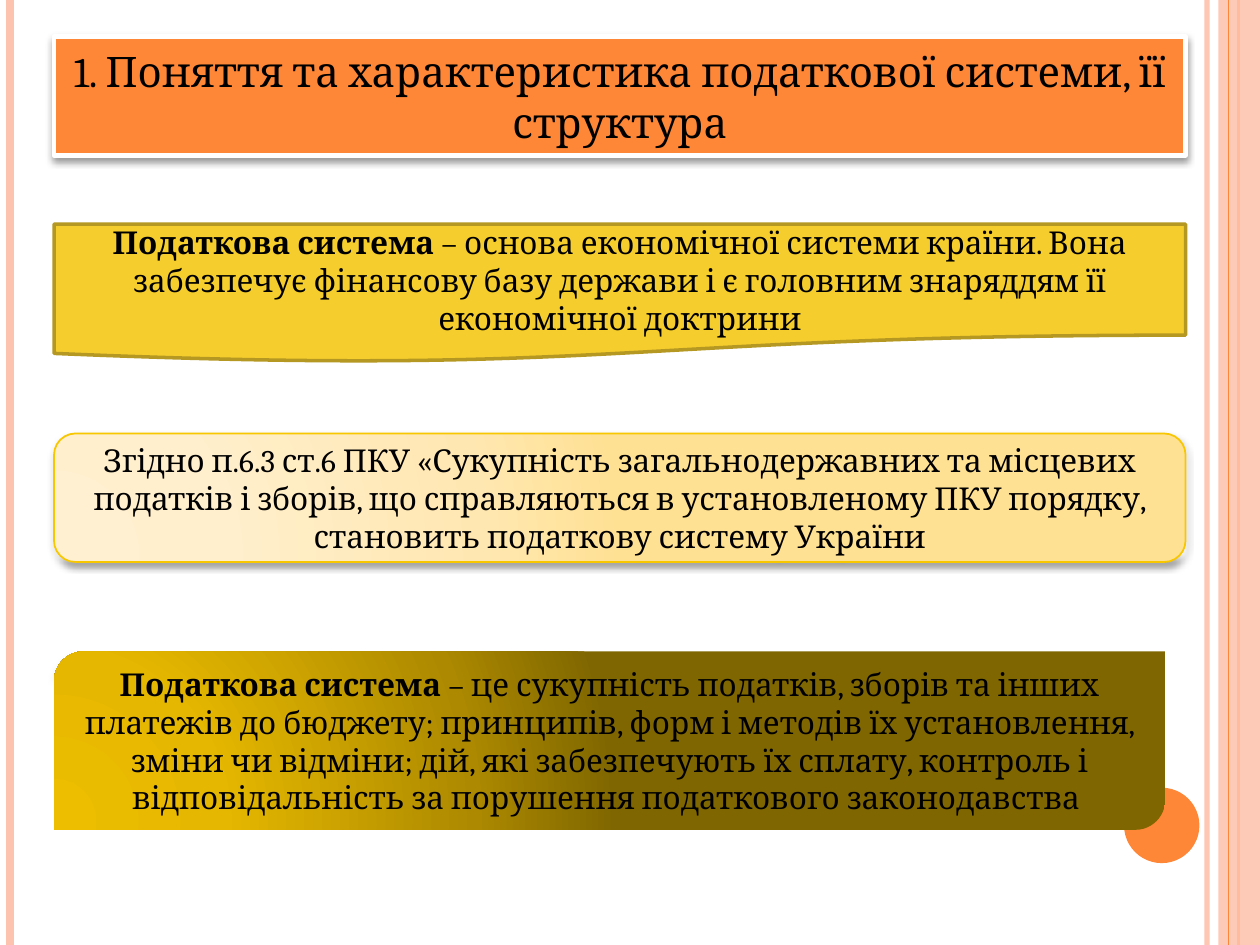
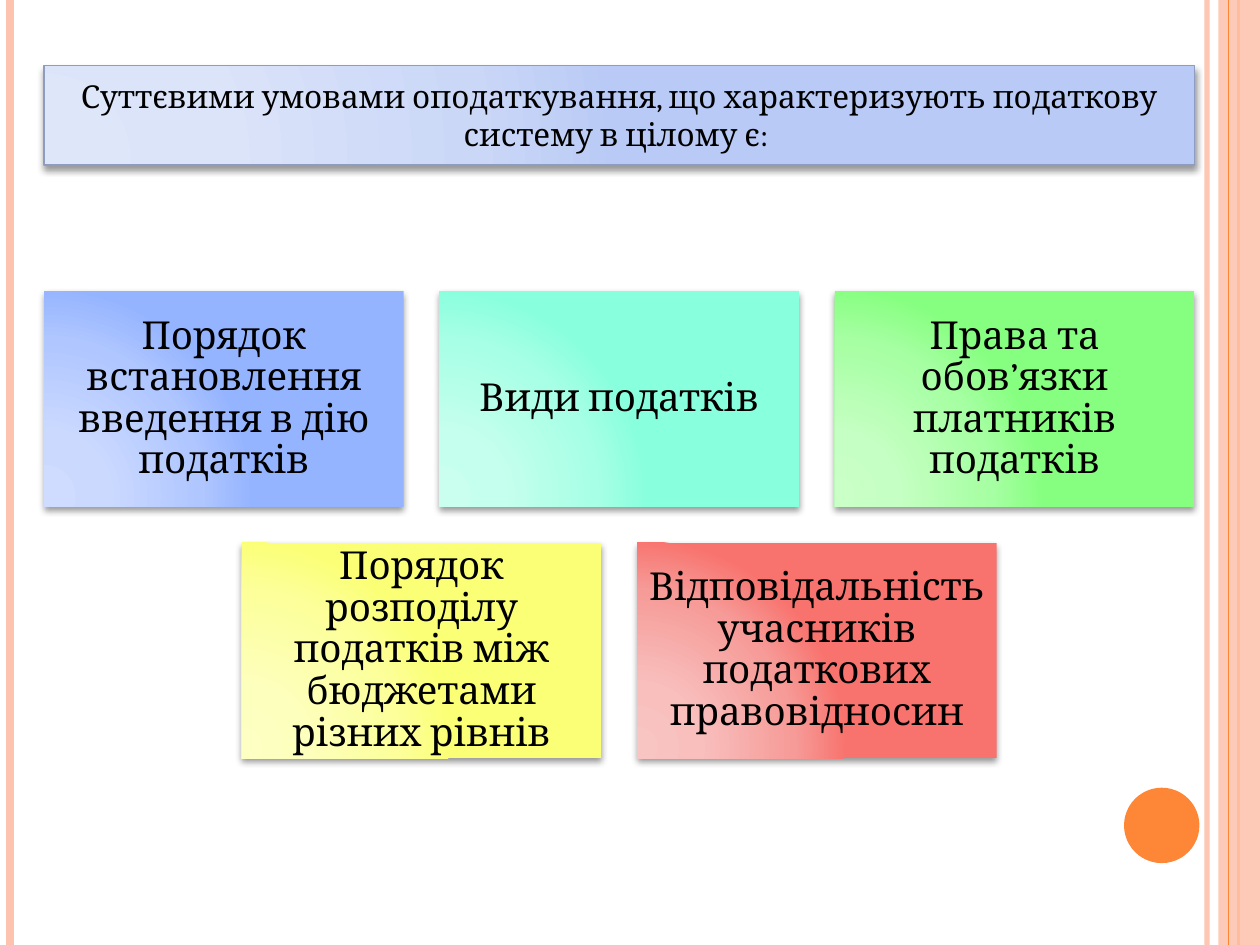
from lxml import etree
from pptx import Presentation
from pptx.dml.color import RGBColor
from pptx.enum.shapes import MSO_CONNECTOR, MSO_SHAPE
from pptx.enum.text import MSO_ANCHOR, MSO_AUTO_SIZE, PP_ALIGN
from pptx.oxml.ns import qn
from pptx.util import Cm, Pt

STRAIGHT = MSO_CONNECTOR.STRAIGHT
RECT = MSO_SHAPE.RECTANGLE
OVAL = MSO_SHAPE.OVAL
ROUNDED = MSO_SHAPE.ROUNDED_RECTANGLE
DOCUMENT = MSO_SHAPE.FLOWCHART_DOCUMENT
DIAGONAL = MSO_SHAPE.ROUND_2_DIAG_RECTANGLE
MIDDLE = MSO_ANCHOR.MIDDLE
CENTER = PP_ALIGN.CENTER
NO_AUTOFIT = MSO_AUTO_SIZE.NONE

SLIDE_W, SLIDE_H = 25.4, 19.05
FONT = "Cambria"
TITLE_ONLY = 5
COLORS = {
    "text": "000000",
    "white": "FFFFFF",
    "orange": "FE8637",
    "peach": "FEC3AE",
    "yellow": "F5CD2D",
    "olive": "B59821",
    "amber": "F8C700",
    "steel": "8D9CBF",
}
GRADIENT_STOPS = (0, 30, 75, 100)
GRADIENTS = {
    "cream": ("FFF0D1", "FFEFCC", "FFE7B1", "FFE193"),
    "gold": ("EDBE00", "E5B700", "AC8900", "7F6600"),
    "pale blue": ("DEE6FA", "DBE4F9", "CAD7F7", "B8CAF5"),
    "blue": ("CFDCFF", "CBD9FF", "AFC6FF", "95B4FF"),
    "mint": ("CAFFEF", "C5FFED", "A7FFE5", "88FFDD"),
    "green": ("CAFFC8", "C5FFC3", "A6FFA2", "86FF80"),
    "lemon": ("FDFFC3", "FDFFBD", "FCFF9A", "FBFF75"),
    "red": ("F8C5C3", "F8BFBD", "F69B98", "F8736E"),
}

# Content column of each slide, in cm
CONCEPT_LEFT, CONCEPT_W = 1.09, 22.81
CONDITIONS_LEFT, CONDITIONS_W = 0.89, 23.19
CARD_GAP, CARD_H, CARDS_TOP = 0.72, 4.35, 5.87
CARD_W = (CONDITIONS_W - 2 * CARD_GAP) / 3
CARD_ROWS = (
    (
        ("Порядок встановлення введення в дію податків", "blue"),
        ("Види податків", "mint"),
        ("Права та обов’язки платників податків", "green"),
    ),
    (
        ("Порядок розподілу податків між бюджетами різних рівнів", "lemon"),
        ("Відповідальність учасників податкових правовідносин", "red"),
    ),
)


def rgb(name):
    """Return the named colour."""
    return RGBColor.from_string(COLORS[name])


def set_opacity(properties, percent):
    """Make the first plain colour inside the properties translucent."""
    color = next(properties.iter(qn("a:srgbClr")))
    etree.SubElement(color, qn("a:alpha"), val=str(percent * 1000))


def fill_gradient(shape, name):
    """Fill a shape with a circular gradient spreading from its lower left."""
    shape.fill.gradient()
    properties = shape.element.spPr
    old = properties.find(qn("a:gradFill"))
    gradient = etree.Element(qn("a:gradFill"), rotWithShape="1")
    stops = etree.SubElement(gradient, qn("a:gsLst"))
    for position, color in zip(GRADIENT_STOPS, GRADIENTS[name]):
        stop = etree.SubElement(stops, qn("a:gs"), pos=str(position * 1000))
        etree.SubElement(stop, qn("a:srgbClr"), val=color)
    circle = etree.SubElement(gradient, qn("a:path"), path="circle")
    etree.SubElement(circle, qn("a:fillToRect"),
                     l="5000", t="100000", r="120000", b="10000")
    properties.replace(old, gradient)


def add_shadow(shape):
    """Give a shape a soft shadow falling straight down."""
    effects = shape.element.spPr.find(qn("a:effectLst"))
    shadow = etree.SubElement(
        effects, qn("a:outerShdw"), blurRad=str(Pt(4)), dist=str(Pt(2)),
        dir="5400000", algn="ctr", rotWithShape="0")
    color = etree.SubElement(shadow, qn("a:srgbClr"), val="000000")
    etree.SubElement(color, qn("a:alpha"), val="40000")


def style_shape(shape, fill, line=None, width=1, shadow=False):
    """Set fill (plain or gradient), outline and shadow of a shape."""
    if fill in GRADIENTS:
        fill_gradient(shape, fill)
    else:
        shape.fill.solid()
        shape.fill.fore_color.rgb = rgb(fill)
    if line:
        shape.line.color.rgb = rgb(line)
        shape.line.width = Pt(width)
    else:
        shape.line.fill.background()
    shape.shadow.inherit = False
    if shadow:
        add_shadow(shape)


def write_text(shape, size, text, lead=""):
    """Write one centred paragraph, with an optional bold lead; return it."""
    frame = shape.text_frame
    frame.word_wrap = True
    frame.auto_size = NO_AUTOFIT
    frame.vertical_anchor = MIDDLE
    paragraph = frame.paragraphs[0]
    paragraph.alignment = CENTER
    for words, bold in ((lead, True), (text, False)):
        if words:
            run = paragraph.add_run()
            run.text = words
            run.font.name = FONT
            run.font.size = Pt(size)
            run.font.bold = bold
            run.font.color.rgb = rgb("text")
    return paragraph


def add_block(slide, kind, box, fill, **style):
    """Add a styled preset shape; box is left, top, width, height in cm."""
    block = slide.shapes.add_shape(kind, *map(Cm, box))
    style_shape(block, fill, **style)
    return block


def set_title(slide, box, size, text, fill, outline="rect", **style):
    """Place the title placeholder as a filled banner."""
    title = slide.shapes.title
    title.left, title.top, title.width, title.height = map(Cm, box)
    geometry = etree.Element(qn("a:prstGeom"), prst=outline)
    etree.SubElement(geometry, qn("a:avLst"))
    title.element.spPr.find(qn("a:xfrm")).addnext(geometry)
    style_shape(title, fill, shadow=True, **style)
    write_text(title, size, text)


def add_stripe(slide, x, color, width):
    """Add a full-height vertical line."""
    stripe = slide.shapes.add_connector(
        STRAIGHT, Cm(x), Cm(0), Cm(x), Cm(SLIDE_H))
    stripe.line.color.rgb = rgb(color)
    stripe.line.width = Pt(width)
    etree.SubElement(stripe.element.spPr, qn("a:effectLst"))
    return stripe


def decorate_master(prs, slide):
    """Draw the side stripes and the dot, then move them to the master."""
    inner = add_stripe(slide, 24.33, "peach", 3)
    set_opacity(inner.element.spPr, 93)
    left = add_stripe(slide, 0.2, "peach", 4.5)
    outer = add_stripe(slide, 24.97, "orange", 1.5)
    band = add_block(slide, RECT, (24.56, 0, 0.84, SLIDE_H), "peach")
    set_opacity(band.element.spPr, 87)
    thin = add_stripe(slide, 24.77, "orange", 0.75)
    dot = add_block(slide, OVAL, (22.66, 15.88, 1.52, 1.52), "orange")
    for part in (inner, left, outer, band, thin, dot):
        prs.slide_master.shapes.element.append(part.element)


def build_concept(slide):
    """Slide 1: what a tax system is."""
    set_title(slide, (CONCEPT_LEFT, 0.74, CONCEPT_W, 2.39), 24,
              "1. Поняття та характеристика податкової системи, її структура",
              "orange", line="white", width=2.75)
    role = add_block(slide, DOCUMENT, (CONCEPT_LEFT, 4.52, CONCEPT_W, 2.79),
                     "yellow", line="olive", width=2)
    write_text(role, 18,
               "– основа економічної системи країни. Вона забезпечує "
               "фінансову базу держави і є головним знаряддям її "
               "економічної доктрини", lead="Податкова система ")
    law = add_block(slide, ROUNDED, (CONCEPT_LEFT, 8.74, CONCEPT_W, 2.59),
                    "cream", line="amber", shadow=True)
    write_text(law, 18,
               "Згідно п.6.3 ст.6 ПКУ «Сукупність загальнодержавних та "
               "місцевих податків і зборів, що справляються в установленому "
               "ПКУ порядку, становить податкову систему України")
    definition = add_block(slide, DIAGONAL, (CONCEPT_LEFT, 13.13, 22.4, 3.6),
                           "gold", shadow=True)
    write_text(definition, 18,
               "– це сукупність податків, зборів та інших платежів до "
               "бюджету; принципів, форм і методів їх установлення, зміни чи "
               "відміни; дій, які забезпечують їх сплату, контроль і "
               "відповідальність за порушення податкового законодавства ",
               lead="Податкова система ")


def build_conditions(slide):
    """Slide 2: centred rows of cards with the conditions of taxation."""
    set_title(slide, (CONDITIONS_LEFT, 1.32, CONDITIONS_W, 2), 18,
              "Суттєвими умовами оподаткування, що характеризують податкову "
              "систему в цілому є: ", "pale blue", outline="roundRect",
              line="steel")
    for row, cards in enumerate(CARD_ROWS):
        row_w = len(cards) * (CARD_W + CARD_GAP) - CARD_GAP
        row_left = CONDITIONS_LEFT + (CONDITIONS_W - row_w) / 2
        top = CARDS_TOP + row * (CARD_H + CARD_GAP)
        for column, (condition, fill) in enumerate(cards):
            left = row_left + column * (CARD_W + CARD_GAP)
            card = add_block(slide, RECT, (left, top, CARD_W, CARD_H), fill,
                             shadow=True)
            frame = card.text_frame
            frame.margin_left = frame.margin_right = Cm(0.23)
            frame.margin_top = frame.margin_bottom = Cm(0.23)
            paragraph = write_text(card, 22, condition)
            paragraph.line_spacing = 0.9
            paragraph.space_after = Pt(7.7)


def main():
    """Build and save the presentation."""
    prs = Presentation()
    prs.slide_width, prs.slide_height = Cm(SLIDE_W), Cm(SLIDE_H)
    layout = prs.slide_layouts[TITLE_ONLY]
    concept, conditions = (prs.slides.add_slide(layout) for _ in range(2))
    decorate_master(prs, concept)
    build_concept(concept)
    build_conditions(conditions)
    prs.save("out.pptx")


main()
